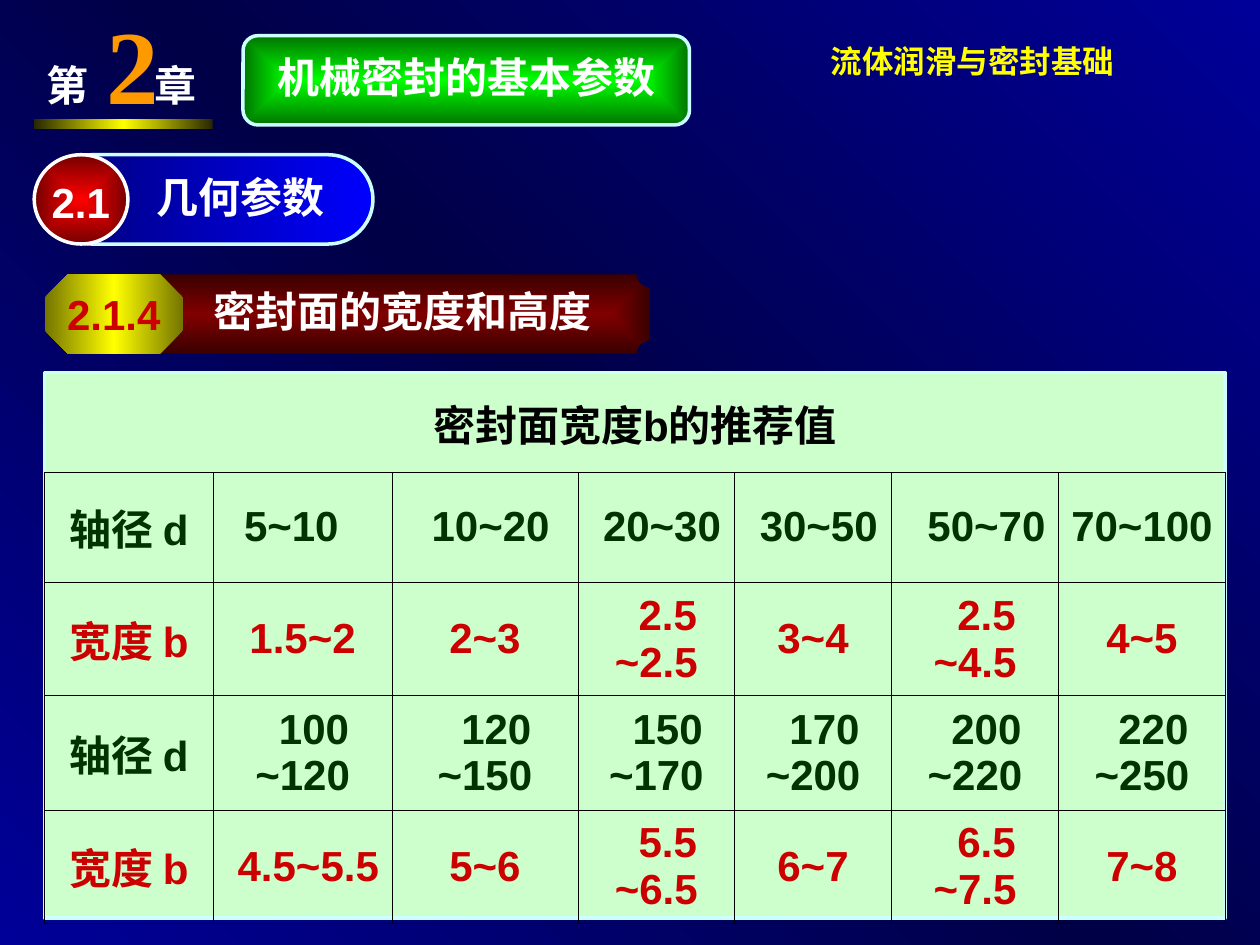
"""Build the slide on the recommended width of mechanical seal faces."""
from pptx import Presentation
from pptx.dml.color import RGBColor
from pptx.enum.shapes import MSO_SHAPE as Geo
from pptx.enum.text import MSO_ANCHOR as Anchor, PP_ALIGN as Align
from pptx.oxml import parse_xml
from pptx.oxml.ns import nsdecls, qn
from pptx.util import Cm, Pt

WHITE = RGBColor(0xFF, 0xFF, 0xFF)
BLACK = RGBColor(0x00, 0x00, 0x00)
NAVY = RGBColor(0x00, 0x00, 0x99)
NIGHT = RGBColor(0x00, 0x00, 0x46)
BLUE = RGBColor(0x00, 0x00, 0xFF)
DEEP = RGBColor(0x00, 0x00, 0x75)
YELLOW = RGBColor(0xFF, 0xFF, 0x00)
OLIVE = RGBColor(0x75, 0x75, 0x00)
UMBER = RGBColor(0x28, 0x28, 0x00)
ORANGE = RGBColor(0xFF, 0x99, 0x00)
RED = RGBColor(0xFF, 0x00, 0x00)
BLOOD = RGBColor(0x75, 0x00, 0x00)
MAROON = RGBColor(0x80, 0x00, 0x00)
DARK = RGBColor(0x3B, 0x00, 0x00)
CRIMSON = RGBColor(0xCC, 0x00, 0x00)
LIME = RGBColor(0x00, 0xFF, 0x00)
GREEN = RGBColor(0x00, 0x75, 0x00)
PINE = RGBColor(0x00, 0x33, 0x00)
MINT = RGBColor(0xCC, 0xFF, 0xCC)
ICE = RGBColor(0xCC, 0xFF, 0xFF)
SANS, SERIF, HAN = "Arial", "Times New Roman", "Noto Sans CJK SC"
SPACE = 0.23


def blend(host, fill, tones, angle=None):
    fill.solid()
    last = len(tones) - 1
    stops = "".join(
        f'<a:gs pos="{100000 * i // last}"><a:srgbClr val="{tone}"/></a:gs>'
        for i, tone in enumerate(tones))
    if angle is None:
        way = ('<a:path path="rect"><a:fillToRect l="50000" t="50000" '
               'r="50000" b="50000"/></a:path>')
    else:
        way = f'<a:lin ang="{angle * 60000}" scaled="1"/>'
    grad = parse_xml(f'<a:gradFill {nsdecls("a")} rotWithShape="1">'
                     f'<a:gsLst>{stops}</a:gsLst>{way}</a:gradFill>')
    host.replace(host.find(qn("a:solidFill")), grad)


def write(para, text, color, size=24, face=SANS, align=Align.CENTER, lead=0, tab=0):
    para.text = text
    para.alignment = align
    props = para._p.get_or_add_pPr()
    if lead:
        props.set("marL", "0")
        props.set("indent", str(Cm(lead)))
    if tab:
        props.append(parse_xml(f'<a:tabLst {nsdecls("a")}>'
                               f'<a:tab pos="{Cm(tab)}" algn="l"/></a:tabLst>'))
    font = para.font
    font.size, font.bold, font.name = Pt(size), True, face
    font.color.rgb = color
    props.find(qn("a:defRPr")).append(
        parse_xml(f'<a:ea {nsdecls("a")} typeface="{HAN}"/>'))


deck = Presentation()
deck.slide_width, deck.slide_height = Cm(25.4), Cm(19.05)
slide = deck.slides.add_slide(deck.slide_layouts[6])
back = slide.background.fill
back.solid()
blend(slide._element.cSld.bg.bgPr, back, [NAVY, NIGHT, NAVY], 135)

page = slide.shapes
mark = page.add_group_shape().shapes
plate = page.add_group_shape().shapes

forms = [
    (mark, Geo.RECTANGLE, (0.69, 2.4, 3.6, 0.2), None, [UMBER, YELLOW, UMBER], 180, None),
    (plate, Geo.ROUNDED_RECTANGLE, (4.9, 0.72, 9, 1.8), 0.167, [LIME, GREEN], None, ICE),
    (page, Geo.ROUNDED_RECTANGLE, (0.94, 3.12, 6.58, 1.8), 0.5, [BLUE, DEEP], 180, ICE),
    (page, Geo.OVAL, (0.69, 3.12, 1.89, 1.8), None, [RED, BLOOD], None, WHITE),
    (page, Geo.PLAQUE, (2.9, 5.53, 10.2, 1.6), 0.167, [MAROON, DARK], None, None),
    (page, Geo.OCTAGON, (0.9, 5.53, 2.79, 1.6), 0.293, [OLIVE, YELLOW, OLIVE], 180, None),
    (page, Geo.RECTANGLE, (0.9, 7.51, 23.8, 11), None, [MINT], None, ICE),
]
made = []
for home, kind, area, bend, tones, angle, edge in forms:
    form = home.add_shape(kind, *map(Cm, area))
    form.shadow.inherit = False
    if bend:
        form.adjustments[0] = bend
    if len(tones) > 1:
        blend(form._element.spPr, form.fill, tones, angle)
    else:
        form.fill.solid()
        form.fill.fore_color.rgb = tones[0]
    if edge:
        form.line.color.rgb = edge
        form.line.width = Pt(2)
    else:
        form.line.fill.background()
    made.append(form)

for form, text, color, face, lead in [
    (made[4], "密封面的宽度和高度", WHITE, HAN, SPACE),
    (made[5], "2.1.4", CRIMSON, SANS, 0),
]:
    frame = form.text_frame
    frame.word_wrap = False
    frame.vertical_anchor = Anchor.MIDDLE
    write(frame.paragraphs[0], text, color, face=face, lead=lead)
made[4].text_frame.paragraphs[0].line_spacing = 0.9

LEFT, MID = Align.LEFT, Align.CENTER
for home, area, text, color, size, face, align, wrap, top, tab in [
    (page, (16.5, 0.71, 8, 1.8), "流体润滑与密封基础", YELLOW, 18, HAN, LEFT, False, 0.13, 0),
    (mark, (0.69, 1.07, 4.45, 1.27), "第\t章", WHITE, 24, SERIF, LEFT, True, 0.13, 2.18),
    (mark, (1.9, 0, 2.34, 2.54), "2", ORANGE, 60, SERIF, LEFT, True, 0, 0),
    (plate, (5.1, 0.91, 8.6, 1.27), "机械密封的基本参数", WHITE, 24, SANS, MID, True, 0.13, 0),
    (page, (0.79, 3.43, 1.8, 1.27), "2.1", WHITE, 24, SANS, LEFT, True, 0.13, 0),
    (page, (2.9, 3.33, 4.01, 1.27), "几何参数", WHITE, 24, SANS, LEFT, True, 0.13, 0),
    (page, (7.1, 7.92, 11.4, 1.27), "密封面宽度b的推荐值", BLACK, 24, SANS, MID, True, 0.13, 0),
]:
    frame = home.add_textbox(*map(Cm, area)).text_frame
    frame.word_wrap = wrap
    frame.margin_top = Cm(top)
    write(frame.paragraphs[0], text, color, size, face, align, tab=tab)

rows = [
    ["轴径 d", "5~10", "10~20", "20~30", "30~50", "50~70", "70~100"],
    ["宽度 b", "1.5~2", "2~3", "2.5\n~2.5", "3~4", "2.5\n~4.5", "4~5"],
    ["轴径 d", "100\n~120", "120\n~150", "150\n~170", "170\n~200", "200\n~220", "220\n~250"],
    ["宽度 b", "4.5~5.5", "5~6", "5.5\n~6.5", "6~7", "6.5\n~7.5", "7~8"],
]
leads = {"10~20": 1, "20~30": 1, "30~50": 1, "50~70": 2, "4.5~5.5": 1}
widths = [3.4, 3.6, 3.75, 3.16, 3.16, 3.37, 3.36]
heights = [2.22, 2.28, 2.3, 2.27]
grid = page.add_table(4, 7, Cm(0.9), Cm(9.52), Cm(sum(widths)), Cm(sum(heights))).table
grid.first_row = grid.horz_banding = False
for col, width in zip(grid.columns, widths):
    col.width = Cm(width)
for row, height in zip(grid.rows, heights):
    row.height = Cm(height)

for r, texts in enumerate(rows):
    for c, text in enumerate(texts):
        cell = grid.cell(r, c)
        cell.vertical_anchor = Anchor.MIDDLE
        cell.fill.background()
        lines = text.split("\n")
        for i, line in enumerate(lines):
            para = cell.text_frame.add_paragraph() if i else cell.text_frame.paragraphs[0]
            count = 2 if len(lines) > 1 and i == 0 else leads.get(line, 0)
            write(para, line, CRIMSON if r % 2 else PINE, lead=count * SPACE)
        for i, side in enumerate("LRTB"):
            cell._tc.tcPr.insert(i, parse_xml(
                f'<a:ln{side} {nsdecls("a")} w="{Pt(0.45)}"><a:solidFill>'
                f'<a:srgbClr val="{BLACK}"/></a:solidFill></a:ln{side}>'))
grid.cell(0, 1).margin_right = Cm(0.25 + 2 * SPACE)

deck.save("out.pptx")
